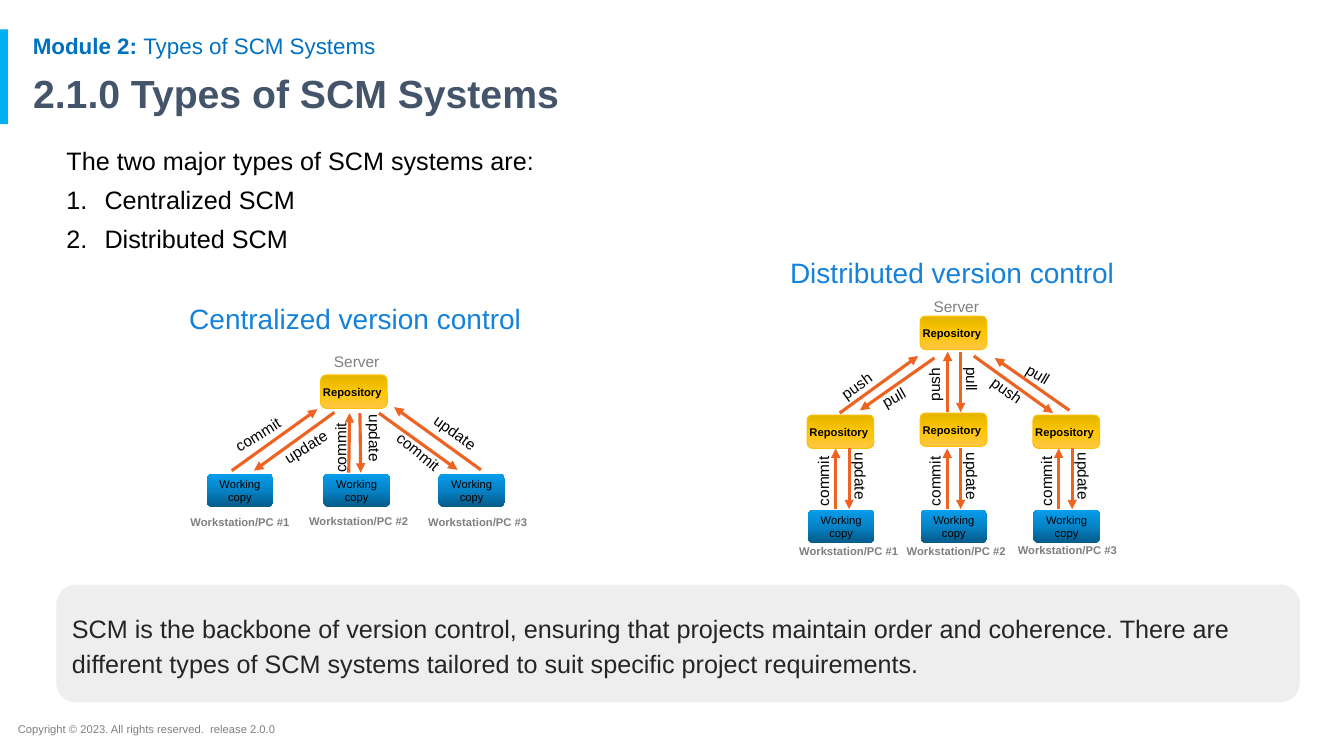
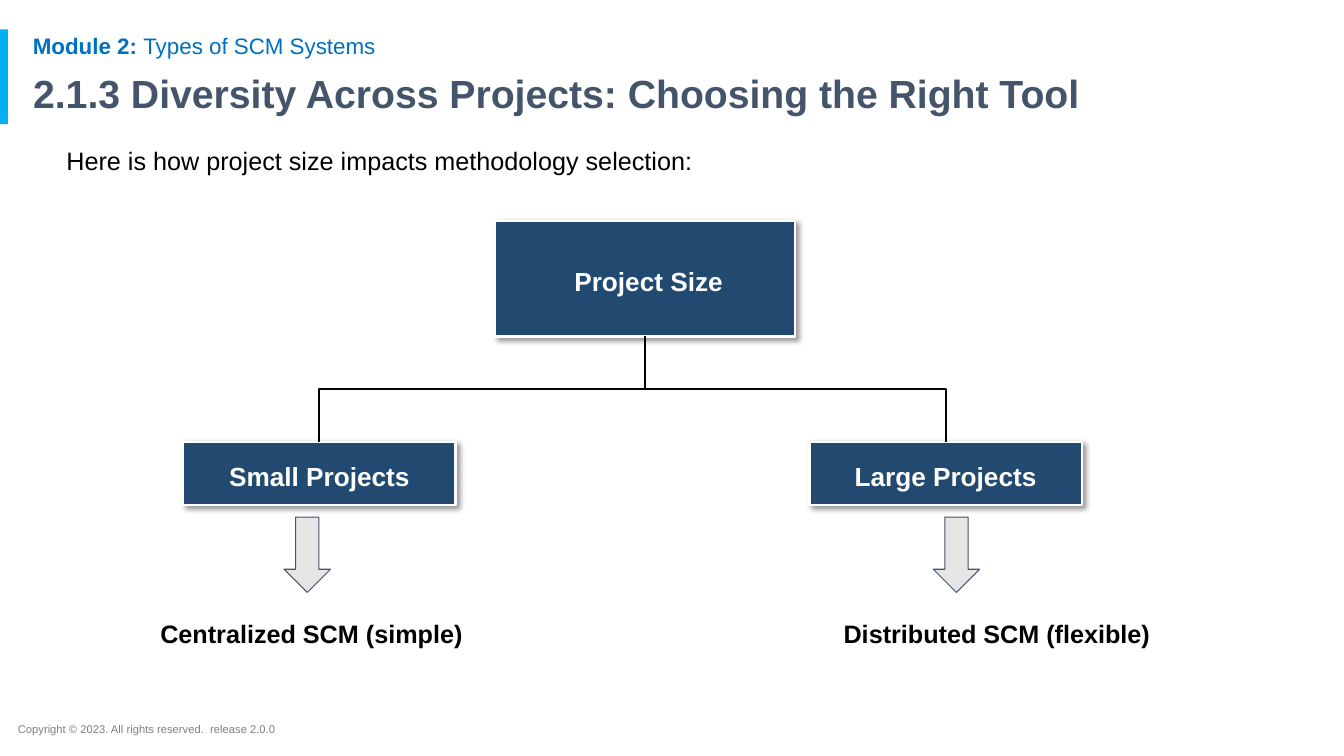
from copy import deepcopy

from lxml import etree
from pptx import Presentation
from pptx.dml.color import RGBColor
from pptx.enum.shapes import MSO_CONNECTOR, MSO_SHAPE
from pptx.enum.text import MSO_ANCHOR, PP_ALIGN
from pptx.oxml import parse_xml
from pptx.oxml.ns import nsdecls, qn
from pptx.util import Cm, Pt

RECT, ROUND, DOWN = MSO_SHAPE.RECTANGLE, MSO_SHAPE.ROUNDED_RECTANGLE, MSO_SHAPE.DOWN_ARROW
STRAIGHT, ELBOW = MSO_CONNECTOR.STRAIGHT, MSO_CONNECTOR.ELBOW
LEFT, CENTER = PP_ALIGN.LEFT, PP_ALIGN.CENTER
TOP, MIDDLE = MSO_ANCHOR.TOP, MSO_ANCHOR.MIDDLE

BLACK, WHITE = RGBColor(0, 0, 0), RGBColor(255, 255, 255)
CYAN, BLUE = RGBColor(0x00, 0xB0, 0xF0), RGBColor(0x00, 0x70, 0xC0)
SLATE, GRAY = RGBColor(0x44, 0x54, 0x6A), RGBColor(0x7F, 0x7F, 0x7F)
SKY, ORANGE = RGBColor(0x14, 0x81, 0xDA), RGBColor(0xEF, 0x63, 0x22)
NAVY, GOLD = RGBColor(0x22, 0x49, 0x70), RGBColor(0xFF, 0xC0, 0x00)
PALE, INK = RGBColor(0xEE, 0xEE, 0xEE), RGBColor(0x25, 0x25, 0x25)
SILVER = RGBColor(0xE7, 0xE6, 0xE6)
YELLOWS = RGBColor(0xFF, 0xC6, 0x47), RGBColor(0xFF, 0xC6, 0x00), RGBColor(0xE3, 0xB4, 0x00)
BLUES = RGBColor(0x04, 0x5A, 0x88), RGBColor(0x06, 0x82, 0xC5), RGBColor(0x08, 0x9D, 0xEC)

# Font: size, colour, bold
FOOT, HEAD, MODULE = (8, GRAY, False), (28, SLATE, True), (16, BLUE, False)
BODY, CLAIM, CAPTION = (18, BLACK, False), (18, INK, False), (20, SKY, False)
SERVER, LABEL, STATION = (11, GRAY, False), (11, BLACK, False), (8, GRAY, True)
REPO, COPY = (8, BLACK, True), (8, BLACK, False)
NODE, RESULT = (18.7, WHITE, True), (18, BLACK, True)

TIGHT = {"line_spacing": 0.9, "space_before": Pt(0), "alignment": LEFT}
LOOSE = {"line_spacing": 1.15}
MID = {"alignment": CENTER}
PLAIN = {"word_wrap": True, "vertical_anchor": TOP}
SLIM = {"margin_left": 0, "margin_right": 0, "vertical_anchor": MIDDLE}
PAD = {"margin_" + side: Cm(0.33) for side in ("left", "top", "right", "bottom")}

# Content; all lengths in centimetres
FOOTER = "Copyright © 2023. All rights reserved.  release 2.0.0"
TOPIC = [("Module 2: ", True), ("Types of SCM Systems", False)]
TYPES = {
    "title": "2.1.0 Types of SCM Systems",
    "lead": "The two major types of SCM systems are:",
    "list": ["Centralized SCM", "Distributed SCM"],
}
SIZES = {
    "title": "2.1.3 Diversity Across Projects: Choosing the Right Tool",
    "lead": "Here is how project size impacts methodology selection:",
    "list": [],
}
SUMMARY = ("SCM is the backbone of version control, ensuring that projects maintain order "
           "and coherence. There are different types of SCM systems tailored to suit "
           "specific project requirements.")

# Repos, copies and stations: centres. Arrows: from, to. Labels: text, centre, turn.
CENTRAL = {
    "caption": ("Centralized version control", 4.52, 7.47, 8.94, 1.12),
    "server": (8.99, 9.11),
    "repos": [(8.92, 9.87)],
    "copies": [(6.05, 12.36), (8.99, 12.36), (11.89, 12.36)],
    "stations": [(6.05, 13.16), (9.04, 13.13), (12.04, 13.16)],
    "arrows": [
        (5.84, 11.86, 8, 10.31), (8.43, 10.39, 6.4, 11.86),
        (8.79, 11.91, 8.81, 10.41), (9.07, 10.41, 9.09, 11.91),
        (9.55, 10.41, 11.53, 11.84), (12.12, 11.84, 9.93, 10.26),
    ],
    "labels": [
        ("commit", 6.5, 10.96, 328.3), ("update", 7.71, 11.26, 328.3),
        ("commit", 8.59, 11.29, 270), ("update", 9.44, 11.04, 90),
        ("commit", 10.54, 11.39, 39.1), ("update", 11.47, 10.91, 35.7),
    ],
}
LANES = [21.06 + 2.81 * i for i in range(3)]
SPREAD = {
    "caption": ("Distributed version control", 19.66, 6.32, 8.74, 1.12),
    "server": (24.1, 7.73),
    "repos": [(24.03, 8.39), (21.18, 10.88), (24.03, 10.83), (26.87, 10.88)],
    "copies": [(21.2 + 2.84 * i, 13.27) for i in range(3)],
    "stations": [(21.39, 13.89), (24.1, 13.89), (26.9, 13.87)],
    "arrows": [
        (21.16, 10.41, 23.14, 8.97), (23.55, 9.02, 21.67, 10.34),
        (23.88, 10.39, 23.88, 8.86), (24.21, 8.86, 24.21, 10.39),
        (24.54, 8.97, 26.54, 10.41), (26.95, 10.34, 25.07, 9.02),
        *[(x, 12.83, x, 11.3) for x in LANES],
        *[(x + 0.34, 11.3, x + 0.34, 12.83) for x in LANES],
    ],
    "labels": [
        ("push", 21.59, 9.72, 324.2), ("pull", 22.53, 10.02, 330.8),
        ("push", 23.55, 9.69, 270), ("pull", 24.49, 9.56, 90),
        ("push", 25.37, 9.84, 35.8), ("pull", 26.16, 9.44, 31),
        *[("commit", x - 0.31, 12.13, 270) for x in LANES],
        *[("update", x + 0.62, 12, 90) for x in LANES],
    ],
}
ROOT = (" Project Size", 12.47, 5.56, 7.57, 2.92)
# Name, node left, arrow left, result, result left, result width
BRANCHES = [
    ("Small Projects", 4.62, 7.16, "Centralized SCM (simple)", 3.71, 11.1),
    ("Large Projects", 20.4, 23.52, "Distributed SCM (flexible)", 20.93, 9.35),
]


def style(target, values):
    for name, value in values.items():
        setattr(target, name, value)


def write(frame, lines, font, para=None, body=None):
    """Fill a frame; a line is a text or a list of (text, bold) runs."""
    style(frame, body or {})
    size, color, bold = font
    for i, line in enumerate(lines):
        part = frame.add_paragraph() if i else frame.paragraphs[0]
        style(part, para or {})
        for text, heavy in [(line, bold)] if isinstance(line, str) else line:
            run = part.add_run()
            run.text = text
            style(run.font, {"name": "Arial", "size": Pt(size), "bold": heavy})
            run.font.color.rgb = color


def put_text(shapes, box, line, font, para=None, body=PLAIN):
    area = shapes.add_textbox(*map(Cm, box))
    write(area.text_frame, [line], font, para, body)
    return area


def put_label(shapes, text, x, y, font, turn=0):
    """Place a one-line text centred on a point."""
    wide, high = 3.2, 0.74 if font[0] > 8 else 0.61
    box = (x - wide / 2, y - high / 2, wide, high)
    put_text(shapes, box, text, font, MID).rotation = turn


def put_shape(shapes, kind, box, fill, edge=None, width=0.75):
    """Draw a shape; a tuple of three colours gives a gradient from the foot up."""
    shape = shapes.add_shape(kind, *map(Cm, box))
    shape.shadow.inherit = False
    if isinstance(fill, RGBColor):
        shape.fill.solid()
        shape.fill.fore_color.rgb = fill
    else:
        shape.fill.gradient()
        shape.fill.gradient_angle = 90
        stops = next(shape.element.iter(qn("a:gsLst")))
        stops.insert(1, deepcopy(stops[0]))
        for i, stop in enumerate(shape.fill.gradient_stops):
            stop.position = i / 2
            stop.color.rgb = fill[i]
    if edge is None:
        shape.line.fill.background()
    else:
        shape.line.color.rgb = edge
        shape.line.width = Pt(width)
    return shape


def put_line(shapes, kind, ends, color, width):
    line = shapes.add_connector(kind, *map(Cm, ends))
    line.line.color.rgb = color
    line.line.width = Pt(width)
    etree.SubElement(line.element.spPr, qn("a:effectLst"))
    return line


def put_block(shapes, text, x, y, font, fill, edge=None):
    block = put_shape(shapes, ROUND, (x - 0.84, y - 0.42, 1.68, 0.84), fill, edge)
    write(block.text_frame, [text], font, MID, SLIM)


def put_node(shapes, text, *box):
    """Draw a box of the tree with a soft shadow."""
    node = put_shape(shapes, RECT, box, NAVY, WHITE, 1.5)
    write(node.text_frame, [text], NODE, {**MID, **LOOSE}, PAD)
    glow = node.element.spPr.find(qn("a:effectLst"))
    glow.append(parse_xml(
        f'<a:outerShdw {nsdecls("a")} blurRad="{Pt(4)}" dist="{Pt(3)}" dir="2700000" '
        'algn="tl" rotWithShape="0"><a:srgbClr val="000000"><a:alpha val="40000"/>'
        '</a:srgbClr></a:outerShdw>'))
    return node


def join(shapes, root, node):
    """Run an elbow line from the root's foot to the node's top."""
    line = put_line(shapes, ELBOW, (0, 0, 1, 1), BLACK, 1.5)
    line.begin_connect(root, 2)
    line.end_connect(node, 0)
    start, end = root.left + root.width // 2, node.left + node.width // 2
    foot = root.top + root.height
    wide, high = abs(end - start), node.top - foot
    style(line, {"left": (start + end - high) // 2, "top": foot + (high - wide) // 2,
                 "width": high, "height": wide})
    right = end > start
    frame = line.element.spPr.find(qn("a:xfrm"))
    for name, value in (("rot", "16200000" if right else "5400000"),
                        ("flipH", "1" if right else "0"), ("flipV", "0")):
        frame.set(name, value)


def put_graph(slide, plan):
    shapes = slide.shapes.add_group_shape().shapes
    text, *box = plan["caption"]
    put_text(shapes, box, text, CAPTION)
    put_label(shapes, "Server", *plan["server"], SERVER)
    for spot in plan["repos"]:
        put_block(shapes, "Repository ", *spot, REPO, YELLOWS, GOLD)
    for spot in plan["copies"]:
        put_block(shapes, "Working copy", *spot, COPY, BLUES)
    for ends in plan["arrows"]:
        line = put_line(shapes, STRAIGHT, ends, ORANGE, 2.25)
        etree.SubElement(line.element.spPr.find(qn("a:ln")), qn("a:tailEnd"), type="triangle")
    for text, x, y, turn in plan["labels"]:
        put_label(shapes, text, x, y, LABEL, turn)
    for i, spot in enumerate(plan["stations"], 1):
        put_label(shapes, f"Workstation/PC #{i}", *spot, STATION)


def set_layout(deck, layout):
    """Give the layout its band, footer, module line and placeholder places."""
    places = (0.58, 1.75, 29.21, 1.37), (1.42, 3.63, 28.55, 13.44)
    for holder, box in zip(layout.placeholders, places):
        style(holder, dict(zip(("left", "top", "width", "height"), map(Cm, box))))
    draft = deck.slides.add_slide(layout).shapes
    parts = [
        put_shape(draft, RECT, (0, 0.74, 0.2, 2.39), CYAN),
        put_text(draft, (0.2, 18.08, 18.11, 0.61), FOOTER, FOOT),
        put_text(draft, (0.58, 0.76, 29.21, 0.84), TOPIC, MODULE, TIGHT),
    ]
    for part in parts:
        layout.shapes.element.append(part.element)
    return deck.slides[0]


def fill_slide(slide, data):
    title, body = slide.placeholders
    write(title.text_frame, [data["title"]], HEAD, TIGHT, PLAIN)
    write(body.text_frame, [data["lead"], *data["list"]], BODY, TIGHT, PLAIN)
    for part in body.text_frame.paragraphs[1:]:
        part.space_before = Pt(8.4)
    for i, form in enumerate(body.element.iter(qn("a:pPr"))):
        dent = Cm(0.96) if i else 0
        form.set("marL", str(dent))
        form.set("indent", str(-dent))
        if i:
            etree.SubElement(form, qn("a:buFont"), typeface="+mj-lt")
            etree.SubElement(form, qn("a:buAutoNum"), type="arabicPeriod")
        else:
            etree.SubElement(form, qn("a:buNone"))


def main():
    deck = Presentation()
    deck.slide_width, deck.slide_height = Cm(33.87), Cm(19.05)
    layout = deck.slide_layouts[1]

    first = set_layout(deck, layout)
    fill_slide(first, TYPES)
    for plan in (CENTRAL, SPREAD):
        put_graph(first, plan)
    banner = put_shape(first.shapes, ROUND, (1.42, 14.73, 31.34, 2.97), PALE)
    write(banner.text_frame, [SUMMARY], CLAIM, {**LOOSE, "alignment": LEFT})

    second = deck.slides.add_slide(layout)
    fill_slide(second, SIZES)
    shapes = second.shapes
    root = put_node(shapes, *ROOT)
    for name, left, tip, result, start, width in BRANCHES:
        node = put_node(shapes, name, left, 11.13, 6.86, 1.6)
        join(shapes, root, node)
        put_shape(shapes, DOWN, (tip, 13.03, 1.17, 1.9), SILVER, SLATE)
        put_text(shapes, (start, 15.24, width, 1.47), result, RESULT, body={**PLAIN, **PAD})

    deck.save("out.pptx")


if __name__ == "__main__":
    main()
